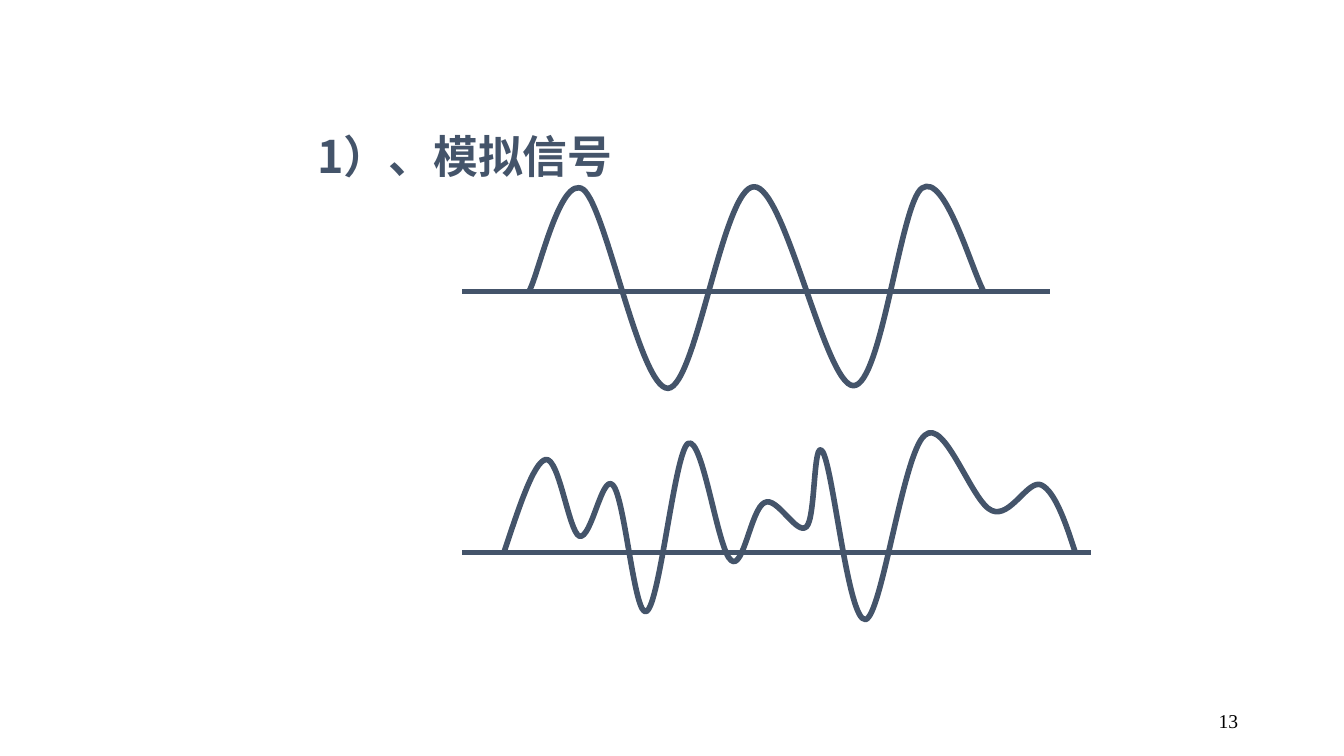
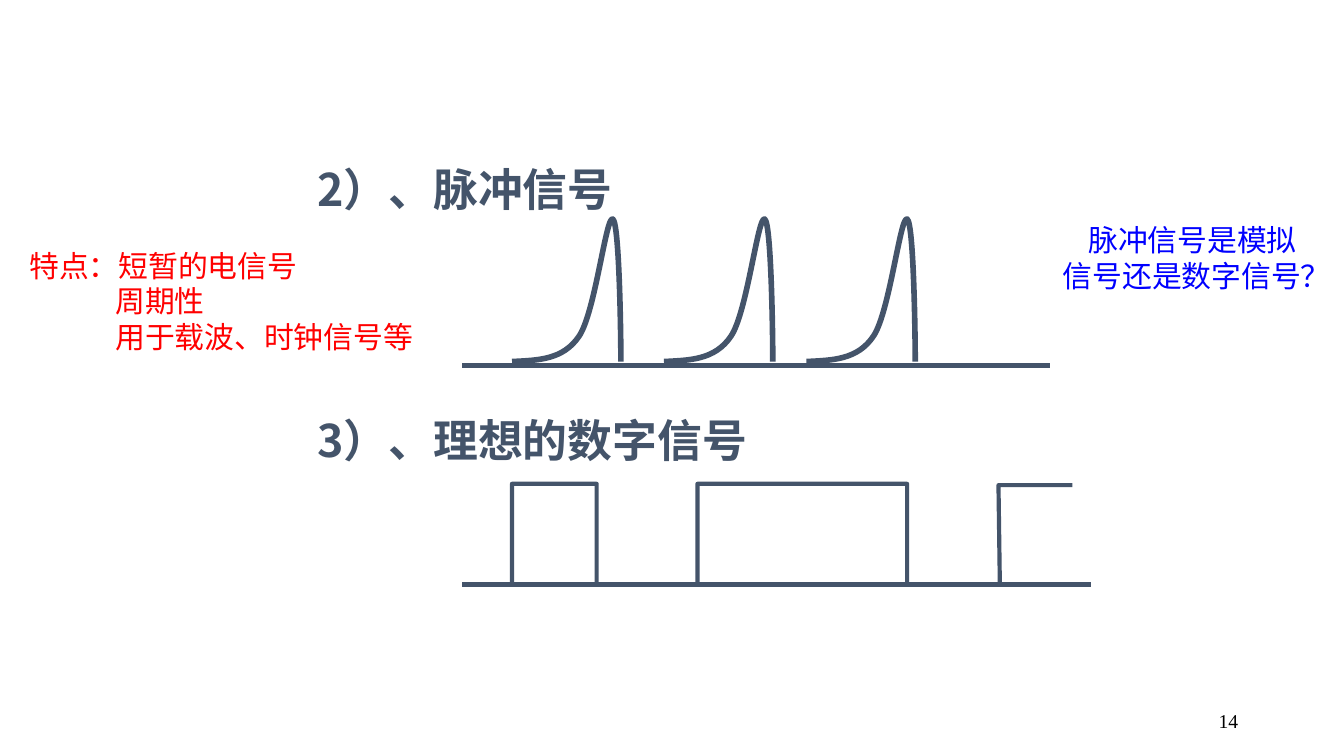
"""Builds two slides that compare analog, pulse and digital signals."""
from lxml.etree import SubElement
from pptx import Presentation
from pptx.dml.color import RGBColor
from pptx.enum.shapes import MSO_CONNECTOR
from pptx.enum.text import MSO_ANCHOR, MSO_AUTO_SIZE, PP_ALIGN
from pptx.oxml.ns import qn
from pptx.util import Inches, Pt

COLORS = {"ink": "44546A", "black": "000000", "blue": "0000FF", "red": "FF0000"}
HEAD, BODY, FOOT = "Noto Sans CJK JP", "Calibri", "Times New Roman"
LEFT = 3.44

SINE = [(3.94, 2.16),
        (4.01, 2.03), (4.17, 1.29), (4.34, 1.41),
        (4.51, 1.54), (4.76, 2.89), (4.97, 2.89),
        (5.18, 2.88), (5.38, 1.39), (5.61, 1.39),
        (5.84, 1.38), (6.14, 2.87), (6.35, 2.87),
        (6.56, 2.87), (6.7, 1.51), (6.86, 1.4),
        (7.03, 1.28), (7.23, 2.01), (7.32, 2.17)]
VOICE = [(3.75, 4.11),
         (3.86, 3.78), (3.97, 3.44), (4.06, 3.42),
         (4.16, 3.4), (4.23, 3.95), (4.31, 3.99),
         (4.4, 4.02), (4.48, 3.52), (4.56, 3.61),
         (4.65, 3.7), (4.72, 4.6), (4.81, 4.55),
         (4.91, 4.5), (5.02, 3.36), (5.12, 3.3),
         (5.23, 3.24), (5.34, 4.1), (5.44, 4.17),
         (5.53, 4.25), (5.59, 3.78), (5.69, 3.74),
         (5.78, 3.69), (5.93, 3.99), (6, 3.92),
         (6.07, 3.86), (6.05, 3.25), (6.12, 3.36),
         (6.2, 3.48), (6.31, 4.63), (6.44, 4.61),
         (6.56, 4.59), (6.72, 3.37), (6.88, 3.24),
         (7.03, 3.1), (7.23, 3.74), (7.38, 3.8),
         (7.52, 3.86), (7.65, 3.56), (7.75, 3.61),
         (7.85, 3.66), (7.93, 3.89), (8, 4.11)]
PULSE = [(0, 2.69),
         (0.19, 2.68), (0.38, 2.68), (0.5, 2.5),
         (0.62, 2.32), (0.7, 1.6), (0.75, 1.63),
         (0.8, 1.66), (0.81, 2.52), (0.81, 2.69)]
SQUARE = [(3.81, 4.35), (3.81, 3.6), (4.44, 3.6), (4.44, 4.35),
          (5.19, 4.35), (5.19, 3.6), (6.75, 3.6), (6.75, 4.35),
          (7.44, 4.35), (7.43, 3.61), (7.98, 3.61)]


def ink(name):
    return RGBColor.from_string(COLORS[name])


def style(para, font, size, color, bold=False, margin=0, indent=0):
    props = para._p.get_or_add_pPr()
    props.set("marL", str(Inches(margin)))
    props.set("indent", str(Inches(indent)))
    para.font.size, para.font.bold = Pt(size), bold
    para.font.color.rgb = ink(color)
    para.font.name = font
    SubElement(props.find(qn("a:defRPr")), qn("a:ea"), typeface=font)


def place(shape, left, top, width, height):
    shape.left, shape.top = Inches(left), Inches(top)
    shape.width, shape.height = Inches(width), Inches(height)


def add_box(slide, left, top, width, height):
    box = slide.shapes.add_textbox(0, 0, 0, 0)
    place(box, left, top, width, height)
    box.text_frame.word_wrap = True
    return box


def fill_head(box, text):
    frame = box.text_frame
    frame.word_wrap, frame.auto_size = True, MSO_AUTO_SIZE.NONE
    frame.vertical_anchor = MSO_ANCHOR.TOP
    frame.margin_left = frame.margin_right = Inches(0.08)
    frame.margin_top = frame.margin_bottom = Inches(0.04)
    frame.text = text
    para = frame.paragraphs[0]
    para.alignment = PP_ALIGN.LEFT
    style(para, HEAD, 24, "ink", True, 0.38, -0.38)


def add_page(deck, title, top, number):
    slide = deck.slides.add_slide(deck.slide_layouts[5])
    place(slide.shapes.title, 2.28, top, 5.79, 0.56)
    fill_head(slide.shapes.title, title)
    frame = add_box(slide, 7.06, 5.21, 2.25, 0.3).text_frame
    frame.vertical_anchor = MSO_ANCHOR.MIDDLE
    frame.text = number
    frame.paragraphs[0].alignment = PP_ALIGN.RIGHT
    style(frame.paragraphs[0], FOOT, 10.5, "black")
    return slide


def add_note(slide, spot, lines, color):
    frame = add_box(slide, *spot).text_frame
    frame.text = "\n".join(text for text, _, _ in lines)
    for para, (_, margin, indent) in zip(frame.paragraphs, lines):
        style(para, BODY, 16, color, margin=margin, indent=indent)


def add_axis(slide, right, top):
    axis = slide.shapes.add_connector(
        MSO_CONNECTOR.STRAIGHT, Inches(LEFT), Inches(top), Inches(right), Inches(top))
    axis.line.color.rgb, axis.line.width = ink("ink"), Pt(3)
    SubElement(axis._element.spPr, qn("a:effectLst"))


def add_trace(slide, points, width):
    spots = [(Inches(x), Inches(y)) for x, y in points]
    pen = slide.shapes.build_freeform(*spots[0], scale=1.0)
    pen.add_line_segments(spots[1:], close=False)
    trace = pen.convert_to_shape()
    trace.shadow.inherit = False
    trace.fill.background()
    trace.line.color.rgb, trace.line.width = ink("ink"), Pt(width)
    return trace


def add_curve(slide, points):
    trace = add_trace(slide, points, 3)
    route = next(trace._element.iter(qn("a:path")))
    steps = route.findall(qn("a:lnTo"))
    for start in range(0, len(steps), 3):
        bend = SubElement(route, qn("a:cubicBezTo"))
        for step in steps[start:start + 3]:
            bend.append(step[0])
            route.remove(step)


def main():
    deck = Presentation()
    deck.slide_width = Inches(10)
    deck.slide_height = deck.slide_width * 9 // 16

    slide = add_page(deck, "1）、模拟信号", 0.92, "13")
    for right, top, wave in ((7.81, 2.17, SINE), (8.12, 4.11, VOICE)):
        add_axis(slide, right, top)
        add_curve(slide, wave)

    slide = add_page(deck, "2）、脉冲信号", 1.16, "14")
    fill_head(add_box(slide, 2.28, 3.03, 5.79, 0.56), "3）、理想的数字信号")
    add_axis(slide, 7.81, 2.72)
    add_axis(slide, 8.12, 4.35)
    for left in (3.81, 4.94, 6):
        add_curve(slide, [(left + x, y) for x, y in PULSE])
    add_trace(slide, SQUARE, 2.25)
    add_note(slide, (7.81, 1.6, 2.06, 0.64),
             [("脉冲信号是模拟信号还是数字信号？", 0, 0.19)], "blue")
    add_note(slide, (0.12, 1.79, 3.18, 0.91),
             [("特点：短暂的电信号", 0, 0), ("周期性", 0.64, 0),
              ("用于载波、时钟信号等", 0.64, 0)], "red")

    deck.save("out.pptx")


if __name__ == "__main__":
    main()
